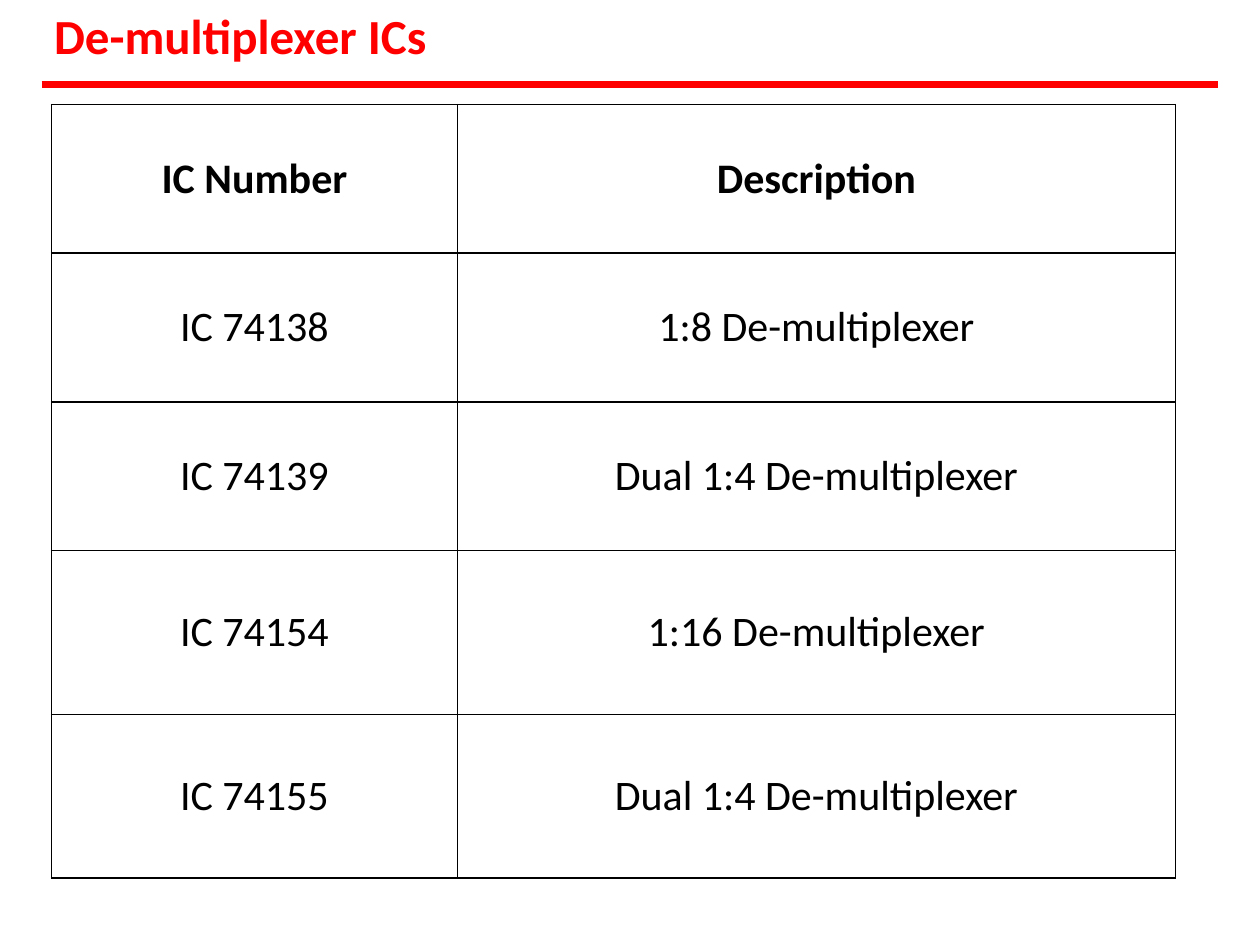
import pptx
import pptx.util
import pptx.dml.color
import pptx.enum.shapes
import pptx.enum.text
import pptx.oxml
import pptx.oxml.ns
from lxml import etree

Inches, Pt = pptx.util.Inches, pptx.util.Pt
RGBColor = pptx.dml.color.RGBColor
RED = RGBColor(0xFF, 0x00, 0x00)
BLACK = RGBColor(0x00, 0x00, 0x00)
FONT = "Calibri"

COLUMNS = [3.22, 5.7]
ROWS = [1.18, 1.18, 1.18, 1.3, 1.3]
CONTENT = [
    ("IC Number", "Description"),
    ("IC 74138", "1:8 De-multiplexer"),
    ("IC 74139", "Dual 1:4 De-multiplexer"),
    ("IC 74154", "1:16 De-multiplexer"),
    ("IC 74155", "Dual 1:4 De-multiplexer"),
]


def style_text(para, size, color, bold, align):
    para.alignment = align
    for span in para.runs:
        span.font.name = FONT
        span.font.size = Pt(size)
        span.font.bold = bold
        span.font.color.rgb = color


def add_borders(cell, color, width):
    properties = cell._tc.get_or_add_tcPr()
    # Borders come before the fill in the cell properties
    for index, side in enumerate(("lnL", "lnR", "lnT", "lnB")):
        properties.insert(index, pptx.oxml.parse_xml(
            f'<a:{side} {pptx.oxml.ns.nsdecls("a")} w="{Pt(width)}"><a:solidFill>'
            f'<a:srgbClr val="{color}"/></a:solidFill></a:{side}>'))


deck = pptx.Presentation()
deck.slide_width, deck.slide_height = Inches(10), Inches(7.5)
page = deck.slides.add_slide(deck.slide_layouts[5])

# Title
title = page.shapes.title
title.left, title.top = Inches(0.42), Inches(0.03)
title.width, title.height = Inches(3), Inches(0.5)
frame = title.text_frame
frame.text = "De-multiplexer ICs"
frame.word_wrap = True
frame.auto_size = pptx.enum.text.MSO_AUTO_SIZE.NONE
frame.vertical_anchor = pptx.enum.text.MSO_ANCHOR.TOP
frame.margin_left = frame.margin_top = Inches(0.01)
frame.margin_right = frame.margin_bottom = 0
style_text(frame.paragraphs[0], 28, RED, True, pptx.enum.text.PP_ALIGN.LEFT)

# Table of ICs
table = page.shapes.add_table(
    len(ROWS), len(COLUMNS), Inches(0.41), Inches(0.83),
    Inches(sum(COLUMNS)), Inches(sum(ROWS))).table
table.first_row = table.horz_banding = False
for column, width in zip(table.columns, COLUMNS):
    column.width = Inches(width)
for row_index, (row, height) in enumerate(zip(table.rows, ROWS)):
    row.height = Inches(height)
    for cell, words in zip(row.cells, CONTENT[row_index]):
        cell.text_frame.text = words
        cell.margin_left = cell.margin_right = 0
        cell.margin_top = cell.margin_bottom = 0
        cell.vertical_anchor = pptx.enum.text.MSO_ANCHOR.MIDDLE
        cell.fill.background()
        add_borders(cell, BLACK, 1)
        style_text(cell.text_frame.paragraphs[0], 24, BLACK, row_index == 0,
                   pptx.enum.text.PP_ALIGN.CENTER)

# Rule under the title
rule = page.shapes.add_connector(
    pptx.enum.shapes.MSO_CONNECTOR.STRAIGHT,
    Inches(0.33), Inches(0.67), Inches(9.67), Inches(0.67))
rule.line.color.rgb = RED
rule.line.width = Pt(4)
etree.SubElement(rule._element.spPr, pptx.oxml.ns.qn("a:effectLst"))

deck.save("out.pptx")
